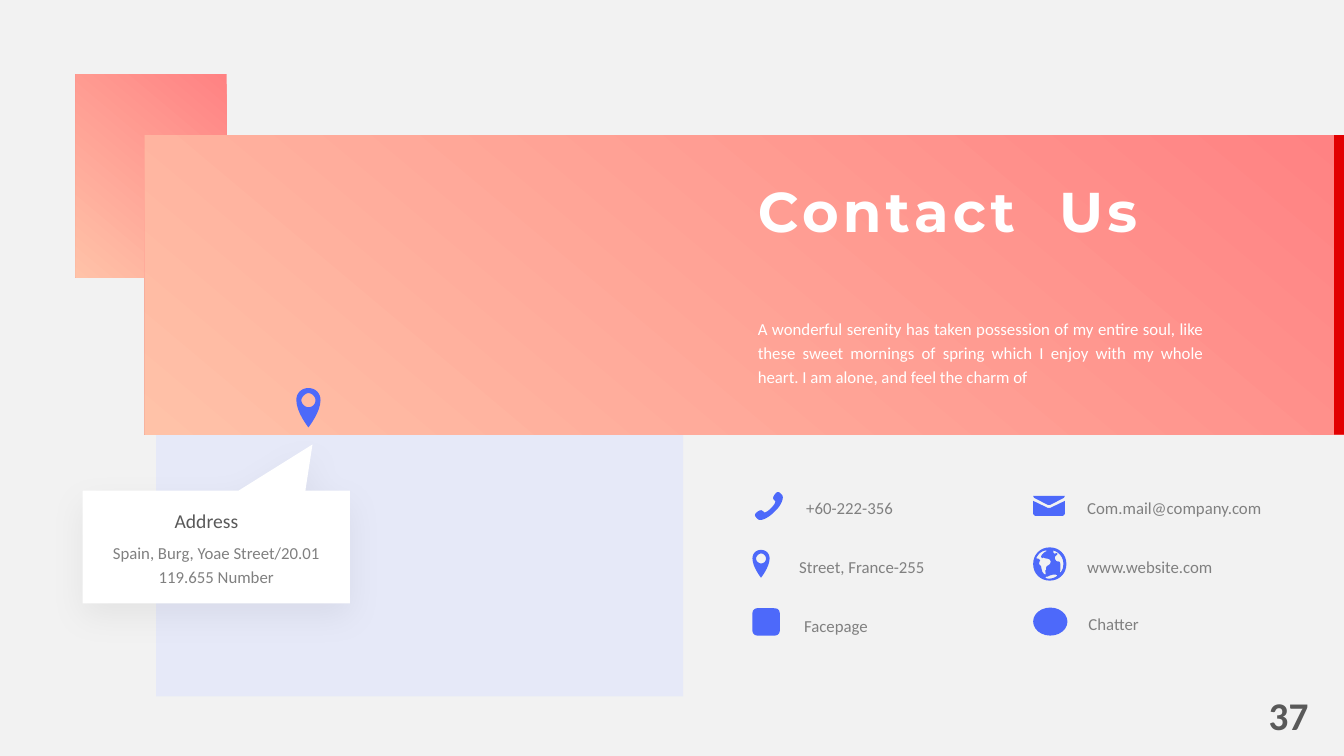
"""Build the contact slide with a coral banner, an address callout and six contact entries."""
from lxml import etree
from pptx import Presentation
from pptx.dml.color import RGBColor
from pptx.enum.shapes import MSO_SHAPE
from pptx.enum.text import MSO_ANCHOR, MSO_AUTO_SIZE, PP_ALIGN
from pptx.oxml.ns import qn
from pptx.util import Pt

RECT, ROUNDED, OVAL = MSO_SHAPE.RECTANGLE, MSO_SHAPE.ROUNDED_RECTANGLE, MSO_SHAPE.OVAL
CALLOUT = MSO_SHAPE.RECTANGULAR_CALLOUT
LEFT, CENTER, RIGHT, JUSTIFY = PP_ALIGN.LEFT, PP_ALIGN.CENTER, PP_ALIGN.RIGHT, PP_ALIGN.JUSTIFY

PAPER = RGBColor(0xF2, 0xF2, 0xF2)
CORAL = RGBColor(0xFF, 0x82, 0x83)
PEACH = RGBColor(0xFF, 0xC2, 0xA8)
LAVENDER = RGBColor(0xDB, 0xE1, 0xFE)
BLUE = RGBColor(0x4D, 0x69, 0xFA)
RED = RGBColor(0xE2, 0x00, 0x01)
WHITE = RGBColor(0xFF, 0xFF, 0xFF)
GREY = RGBColor(0x80, 0x80, 0x80)
DARK = RGBColor(0x59, 0x59, 0x59)

PIN = [[(12, 0), (5, 0), (0, 5), (0, 12), (0, 24), (12, 39), (12, 39),
        (12, 39), (24, 24), (24, 12), (24, 5), (19, 0), (12, 0)],
       [(12, 19), (9, 19), (5, 16), (5, 12), (5, 9), (9, 5), (12, 5),
        (16, 5), (19, 9), (19, 12), (19, 16), (16, 19), (12, 19)]]
PHONE = [[(18, 18), (15, 21), (12, 23), (11, 22), (9, 20), (8, 19), (4, 22),
          (0, 25), (3, 27), (5, 29), (7, 31), (14, 29), (21, 22),
          (29, 15), (31, 7), (29, 5), (27, 3), (25, 0), (22, 4),
          (19, 8), (20, 9), (22, 11), (23, 12), (21, 15), (18, 18)]]
GLOBE = [[(16.5, 0), (7, 0), (0, 7), (0, 16.5), (0, 26), (7, 33), (16.5, 33),
          (26, 33), (33, 26), (33, 16.5), (33, 7), (26, 0), (16.5, 0)],
         [(30, 16), (30, 20), (29, 23), (27, 25), (27, 25), (26, 24), (27, 23),
          (27, 21), (27, 19), (27, 18), (27, 16), (27, 14), (25, 14),
          (24, 14), (23, 14), (22, 12), (20, 8), (25, 8), (24, 6),
          (23, 5), (20, 8), (20, 4), (20, 4), (20, 3), (20, 3),
          (26, 5), (30, 10), (30, 16)],
         [(14, 3), (14, 3), (13, 3), (13, 4), (11, 5), (11, 5), (10, 6),
          (9, 7), (8, 8), (8, 9), (8, 10), (9, 11), (9, 11),
          (9, 10), (11, 10), (12, 11), (13, 11), (19, 11), (17, 16),
          (16, 18), (13, 18), (13, 20), (13, 21), (13, 23), (12, 23),
          (12, 24), (13, 27), (12, 27), (11, 27), (9, 24), (9, 24),
          (9, 23), (8, 21), (8, 19), (8, 18), (6, 18), (6, 16),
          (6, 14), (7, 13), (7, 13), (6, 11), (4, 11), (3, 11),
          (5, 6), (9, 3), (14, 3)],
         [(12, 30), (13, 29), (13, 29), (14, 29), (14, 29), (15, 29), (16, 28),
          (17, 28), (19, 27), (20, 27), (21, 27), (24, 27), (24, 28),
          (22, 30), (19, 31), (16, 31), (15, 31), (13, 31), (12, 30)]]
ENVELOPE = [[(0, 0), (31.5, 0), (30.5, 2), (17, 9), (14.5, 9), (1, 2)],
            [(0, 5), (14.5, 12), (17, 12), (31.5, 5), (31.5, 18), (29.5, 20), (2, 20), (0, 18)]]


def flatten(curve, steps=8):
    """Turn a chain of cubic curves into the points of a polygon."""
    points = [curve[0]]
    for i in range(0, len(curve) - 1, 3):
        for n in range(1, steps + 1):
            t = n / steps
            weights = ((1 - t) ** 3, 3 * t * (1 - t) ** 2, 3 * t * t * (1 - t), t ** 3)
            points.append(tuple(sum(w * pt[axis] for w, pt in zip(weights, curve[i:i + 4]))
                                for axis in (0, 1)))
    return points


def style(sp, color):
    """Give a shape a plain fill without line or shadow."""
    sp.shadow.inherit = False
    sp.fill.solid()
    sp.fill.fore_color.rgb = color
    sp.line.fill.background()


prs = Presentation()
prs.slide_width, prs.slide_height = Pt(960), Pt(540)
s = prs.slides.add_slide(prs.slide_layouts[5])
s.background.fill.solid()
s.background.fill.fore_color.rgb = PAPER
shapes = s.shapes
group = None

blocks = [
    (RECT, 54, 53, 108, 145, CORAL),
    (RECT, 111.5, 108, 376.5, 389.5, LAVENDER),
    (RECT, 103.5, 96.5, 856.5, 214, CORAL),
    (RECT, 953, 96.5, 7, 214, RED),
    (ROUNDED, 537.5, 434.5, 19.5, 19.5, BLUE),
    (OVAL, 738, 434, 24.5, 20, BLUE),
    (CALLOUT, 59, 350.5, 191, 80.5, WHITE),
]
for kind, left, top, width, height, color in blocks:
    if kind == CALLOUT:
        group = shapes.add_group_shape()
    parent = group.shapes if group else shapes
    sp = parent.add_shape(kind, Pt(left), Pt(top), Pt(width), Pt(height))
    style(sp, color)
    if color == CORAL:
        sp.fill.gradient()
        sp.fill.gradient_angle = 230
        for stop, tint in zip(sp.fill.gradient_stops, (CORAL, PEACH)):
            stop.color.rgb = tint
    elif color == LAVENDER:
        srgb = sp._element.spPr.find(".//" + qn("a:srgbClr"))
        etree.SubElement(srgb, qn("a:alpha"), val="50000")
    elif kind == CALLOUT:
        sp.adjustments[0], sp.adjustments[1] = 0.36, -0.91
        effects = sp._element.spPr.find(qn("a:effectLst"))
        shadow = etree.SubElement(effects, qn("a:outerShdw"), blurRad=str(Pt(25)),
                                  dist=str(Pt(9)), dir="5400000", algn="t", rotWithShape="0")
        black = etree.SubElement(shadow, qn("a:srgbClr"), val="000000")
        etree.SubElement(black, qn("a:alpha"), val="5000")

icons = [
    ([flatten(c) for c in PIN], 211.7, 277.2, 0.72),
    ([flatten(c) for c in PIN], 537.5, 392.8, 0.51),
    ([flatten(c) for c in PHONE], 537.8, 350, 0.72),
    ([flatten(c) for c in GLOBE], 738, 391, 0.72),
    (ENVELOPE, 738, 354.2, 0.72),
]
for contours, left, top, unit in icons:
    outlines = [[(x * 100, y * 100) for x, y in contour] for contour in contours]
    fb = shapes.build_freeform(*outlines[0][0], scale=Pt(unit) / 100)
    fb.add_line_segments(outlines[0][1:])
    for outline in outlines[1:]:
        fb.move_to(*outline[0])
        fb.add_line_segments(outline[1:])
    style(fb.convert_to_shape(Pt(left), Pt(top)), BLUE)

LABEL = {"name": "Calibri", "size": Pt(12), "bold": False}
ADDRESS = {**LABEL, "size": Pt(14)}
NUMBER = {**LABEL, "size": Pt(28), "bold": True}
TITLE = {"name": "Montserrat", "size": Pt(40), "bold": True}
INTRO = ("A wonderful serenity has taken possession of my entire soul, like these sweet mornings "
         "of spring which I enjoy with my whole heart. I am alone, and feel the charm of")

texts = [
    (shapes, "Contact  Us", 534.2, 128.2, 316.8, 51, TITLE, WHITE, LEFT, 0.9),
    (shapes, INTRO, 534.2, 221, 332.6, 58.3, LABEL, WHITE, JUSTIFY, 1.2),
    (shapes, "37", 826.5, 490.3, 115.2, 41, NUMBER, DARK, RIGHT, 1),
    (group.shapes, "Address", 90, 360, 115, 24.5, ADDRESS, DARK, CENTER, 1),
    (group.shapes, "Spain, Burg, Yoae Street/20.01\v119.655 Number", 70.6, 381, 167.8, 41,
     LABEL, GREY, CENTER, 1.2),
]
contacts = [
    ("+60-222-356", 568.8, 349.2), ("Com.mail@company.com", 769.5, 349.2),
    ("Street, France-255", 563.8, 391), ("www.website.com", 769.5, 391),
    ("Facepage", 567.3, 433.5), ("Chatter", 770.4, 432),
]
texts += [(shapes, text, left, top, 143.3, 23.8, LABEL, GREY, LEFT, 1.2)
          for text, left, top in contacts]
for parent, text, left, top, width, height, fmt, color, align, spacing in texts:
    box = Pt(left), Pt(top), Pt(width), Pt(height)
    if fmt is TITLE:
        sp = shapes.title
        sp.left, sp.top, sp.width, sp.height = box
        shapes._spTree.append(sp._element)
    else:
        sp = parent.add_textbox(*box)
    tf = sp.text_frame
    tf.word_wrap = True
    tf.auto_size = MSO_AUTO_SIZE.NONE
    tf.vertical_anchor = MSO_ANCHOR.TOP
    p = tf.paragraphs[0]
    p.text = text
    p.alignment = align
    p.line_spacing = spacing
    for r in p.runs:
        for key, value in fmt.items():
            setattr(r.font, key, value)
        r.font.color.rgb = color
        if fmt is TITLE:
            r._r.get_or_add_rPr().set("spc", "300")

prs.save("out.pptx")
